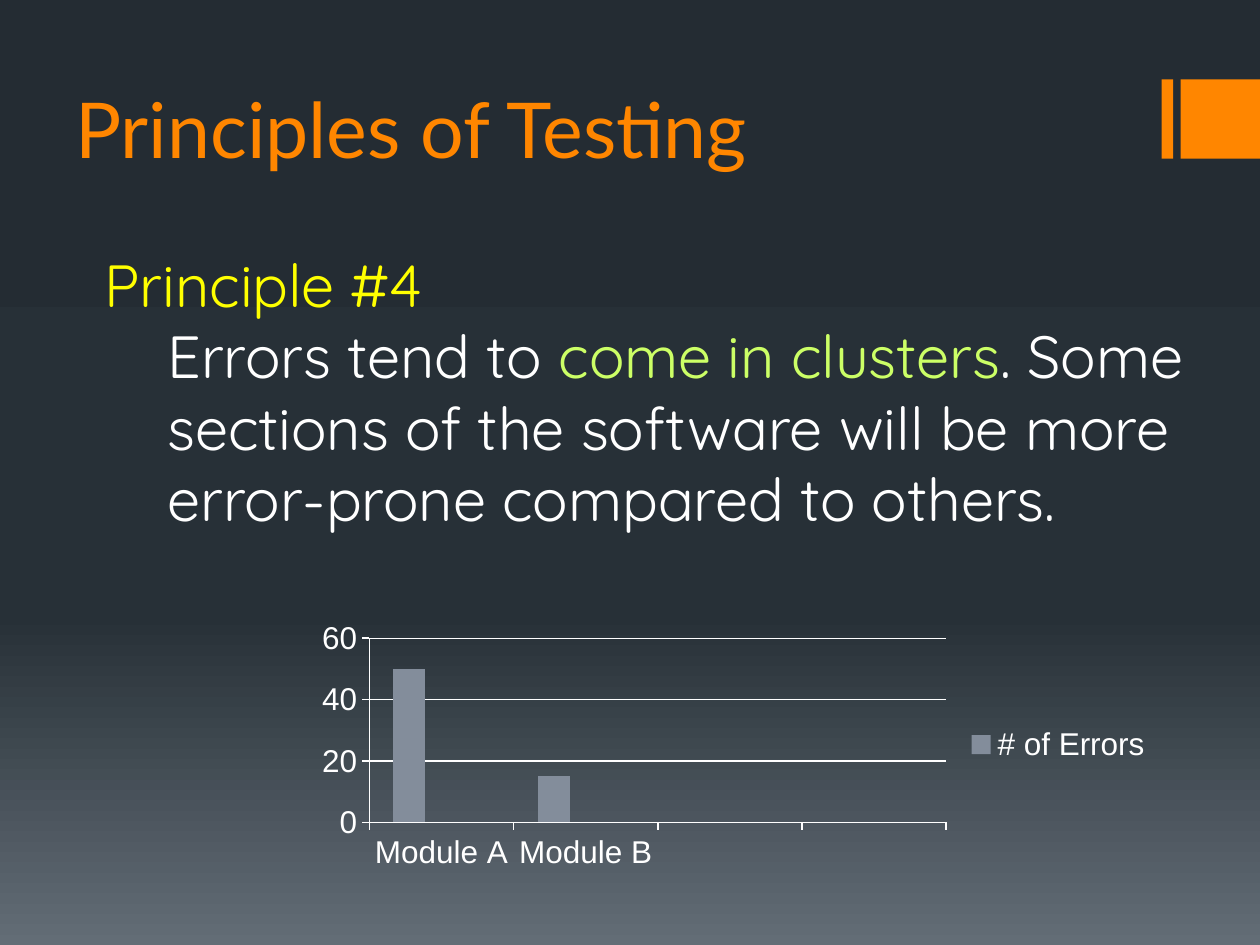
from copy import deepcopy
from typing import NamedTuple

from lxml.etree import SubElement
from pptx import Presentation
from pptx.chart.data import CategoryChartData
from pptx.dml.color import RGBColor
from pptx.enum.chart import XL_CHART_TYPE, XL_LEGEND_POSITION, XL_TICK_MARK
from pptx.enum.shapes import MSO_SHAPE
from pptx.enum.text import MSO_ANCHOR
from pptx.oxml import parse_xml
from pptx.oxml.ns import nsdecls, qn
from pptx.util import Inches, Pt

ORANGE = RGBColor(0xFF, 0x86, 0x00)
YELLOW = RGBColor(0xFF, 0xFF, 0x00)
LIME = RGBColor(0xCC, 0xFF, 0x66)
WHITE = RGBColor(0xFF, 0xFF, 0xFF)
NIGHT = RGBColor(0x24, 0x2C, 0x33)
SLATE = RGBColor(0x27, 0x30, 0x37)
MIST = RGBColor(0x63, 0x6D, 0x76)
SERIES_COLORS = (
    RGBColor(0x83, 0x8D, 0x9B),
    RGBColor(0xD2, 0x61, 0x0C),
    RGBColor(0x80, 0x71, 0x6A),
)
WIDTH, HEIGHT = 10, 7.5


class Area(NamedTuple):
    """A rectangle given as shares of the slide's size."""
    left: float
    top: float
    width: float
    height: float

    def lengths(self) -> tuple:
        return (Inches(self.left * WIDTH), Inches(self.top * HEIGHT),
                Inches(self.width * WIDTH), Inches(self.height * HEIGHT))


class Span(NamedTuple):
    text: str
    color: RGBColor


class Line(NamedTuple):
    spans: list
    indent: float = 0


TITLE_AREA = Area(0.05, 0.33 / HEIGHT, 0.775, 1.1 / HEIGHT)
BODY_AREA = Area(0.073, 1.92 / HEIGHT, 0.883, 2.96 / HEIGHT)
CHART_AREA = Area(0.242, 4.88 / HEIGHT, 0.683, 2.06 / HEIGHT)
PLOT_AREA = {"x": 0.075, "y": 0.09, "w": 0.67, "h": 0.71}
ACCENTS = [Area(left, 0.63 / HEIGHT, width, 0.63 / HEIGHT)
           for left, width in ((0.922, 0.009), (0.937, 0.063))]
TITLE = [Line([Span("Principles of Testing", ORANGE)])]
BODY = [
    Line([Span("Principle #4", YELLOW)]),
    Line([
        Span("Errors tend to ", WHITE),
        Span("come in clusters", LIME),
        Span(". Some sections of the software will be more "
             "error-prone compared to others.", WHITE),
    ], indent=0.5),
]


def paint_background(page) -> None:
    fill = page.background.fill
    fill.gradient()
    fill.gradient_angle = 270
    stop_list = fill.gradient_stops[0]._gs.getparent()
    stop_list.append(deepcopy(stop_list[-1]))
    for stop, position, color in zip(fill.gradient_stops, (0, 0.65, 1), (NIGHT, SLATE, MIST)):
        stop.position = position
        stop.color.rgb = color


def add_accent(page, area: Area) -> None:
    block = page.shapes.add_shape(MSO_SHAPE.RECTANGLE, *area.lengths())
    block.shadow.inherit = False
    block.fill.solid()
    block.fill.fore_color.rgb = ORANGE
    block.line.fill.background()


def add_text(page, area: Area, lines: list, font: str, size: float,
             anchor=MSO_ANCHOR.TOP) -> None:
    frame = page.shapes.add_textbox(*area.lengths()).text_frame
    frame.word_wrap = True
    frame.vertical_anchor = anchor
    for index, line in enumerate(lines):
        paragraph = frame.add_paragraph() if index else frame.paragraphs[0]
        if line.indent:
            paragraph.level = 1
            paragraph._p.get_or_add_pPr().set("marL", str(Inches(line.indent)))
        for span in line.spans:
            run = paragraph.add_run()
            run.text = span.text
            run.font.name = font
            run.font.size = Pt(size)
            run.font.color.rgb = span.color


def hide_legend_entry(legend, index: int) -> None:
    entry = parse_xml(f'<c:legendEntry {nsdecls("c")}><c:idx val="{index}"/>'
                      '<c:delete val="1"/></c:legendEntry>')
    legend._element.find(qn("c:legendPos")).addnext(entry)


def place_plot(chart) -> None:
    plot_area = chart._chartSpace.chart.plotArea
    for old in plot_area.findall(qn("c:layout")):
        plot_area.remove(old)
    layout = parse_xml(f'<c:layout {nsdecls("c")}><c:manualLayout/></c:layout>')
    settings = {"layoutTarget": "inner", "xMode": "edge", "yMode": "edge", **PLOT_AREA}
    for name, value in settings.items():
        SubElement(layout[0], qn(f"c:{name}")).set("val", str(value))
    plot_area.insert(0, layout)


def add_error_chart(page) -> None:
    data = CategoryChartData()
    data.categories = ["Module A", "Module B", "", ""]
    data.add_series("# of Errors", (50, 15, None, None))
    for name in ("Series 2", "Series 3"):
        data.add_series(name, (None,) * 4)
    chart = page.shapes.add_chart(
        XL_CHART_TYPE.COLUMN_CLUSTERED, *CHART_AREA.lengths(), data).chart
    chart.has_title = False
    chart.font.name = "Arial"
    chart.font.size = Pt(18)
    chart.font.color.rgb = WHITE

    plot = chart.plots[0]
    plot.gap_width = 150
    plot.overlap = 0
    plot.vary_by_categories = False
    for series, color in zip(plot.series, SERIES_COLORS):
        series.format.fill.solid()
        series.format.fill.fore_color.rgb = color

    values = chart.value_axis
    values.minimum_scale, values.maximum_scale, values.major_unit = 0, 60, 20
    values.has_major_gridlines = True
    for axis in (chart.category_axis, values):
        axis.major_tick_mark = XL_TICK_MARK.OUTSIDE
        axis.format.line.color.rgb = WHITE
        axis.format.line.width = Pt(1)
    values.major_gridlines.format.line.color.rgb = WHITE
    values.major_gridlines.format.line.width = Pt(0.75)

    chart.has_legend = True
    chart.legend.position = XL_LEGEND_POSITION.RIGHT
    chart.legend.include_in_layout = False
    for index in (2, 1):
        hide_legend_entry(chart.legend, index)
    place_plot(chart)


def main() -> None:
    deck = Presentation()
    deck.slide_width, deck.slide_height = Inches(WIDTH), Inches(HEIGHT)
    page = deck.slides.add_slide(deck.slide_layouts[6])
    paint_background(page)
    for area in ACCENTS:
        add_accent(page, area)
    add_text(page, TITLE_AREA, TITLE, "Lato", 44, MSO_ANCHOR.BOTTOM)
    add_text(page, BODY_AREA, BODY, "Quicksand", 34)
    add_error_chart(page)
    deck.save("out.pptx")


if __name__ == "__main__":
    main()
